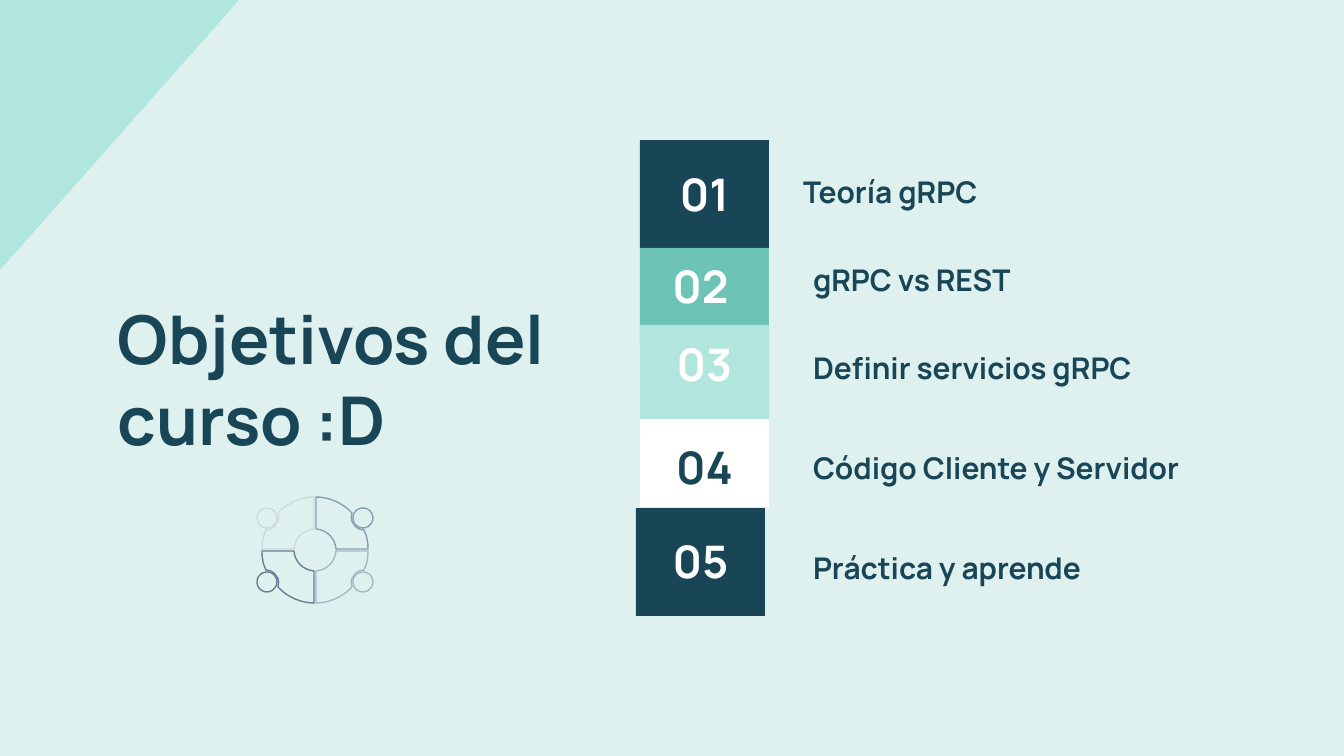
from lxml import etree
from pptx import Presentation
from pptx.dml.color import RGBColor
from pptx.enum.shapes import MSO_SHAPE
from pptx.enum.text import MSO_ANCHOR, MSO_AUTO_SIZE, PP_ALIGN
from pptx.oxml.ns import qn
from pptx.util import Pt

SCALE = 914400 / 134.4
FONT = "Manrope"
LEFT, CENTER = PP_ALIGN.LEFT, PP_ALIGN.CENTER
TOP, MIDDLE = MSO_ANCHOR.TOP, MSO_ANCHOR.MIDDLE
RECTANGLE, OVAL = MSO_SHAPE.RECTANGLE, MSO_SHAPE.OVAL
TITLE_ONLY = 5

COLORS = {
    "background": "DFF1EF", "dark": "194656", "teal": "6CC3B6",
    "mint": "B1E6DE", "white": "FFFFFF",
}
TITLE = "Objetivos del curso :D"
TITLE_BOX = (105, 243, 462, 270)
CORNER = [(0, 0), (0, 270), (239, 0)]

# label, label position, bar box, bar colour, number box, number colour
GOALS = [
    ("Teoría gRPC", (790, 161), (640, 140, 129, 108), "dark", (640, 147, 129, 94), "white"),
    ("gRPC vs REST", (800, 249), (640, 248, 129, 93), "teal", (640, 259, 121, 54), "white"),
    ("Definir servicios gRPC", (800, 337), (640, 325, 129, 94), "mint", (648, 325, 113, 78), "white"),
    ("Código Cliente y Servidor", (800, 437), (640, 419, 129, 88), "white", (640, 420, 129, 94), "dark"),
    ("Práctica y aprende", (800, 537), (636, 508, 129, 108), "dark", (636, 514, 129, 94), "white"),
]
LABEL_SIZE = (410, 54)

WHEEL_CENTER = (315, 550)
KNOB_OFFSET, KNOB_RADIUS = (48, 32), 10
# lower right quadrant: start, then one tuple per line (1 point) or curve (3 points)
QUADRANT_START = (21, 1)
QUADRANT_SEGMENTS = [
    ((20, 12), (12, 20), (1, 21)),
    ((1, 53),),
    ((14, 53), (28, 47), (37, 37)),
    ((36, 33), (36, 29), (38, 27)),
    ((40, 23), (44, 20), (49, 20)),
    ((52, 14), (53, 8), (53, 1)),
]
# horizontal direction, vertical direction, line colour
QUADRANTS = [(-1, 1, "667E92"), (1, 1, "A5B7C5"), (1, -1, "869FB1"), (-1, -1, "CFD9E0")]


def px(value):
    return round(value * SCALE)


def rgb(name):
    return RGBColor.from_string(COLORS.get(name, name))


def paint(shape, fill=None, line=None):
    shape.shadow.inherit = False
    if fill:
        shape.fill.solid()
        shape.fill.fore_color.rgb = rgb(fill)
    else:
        shape.fill.background()
    if line:
        shape.line.color.rgb = rgb(line)
        shape.line.width = Pt(0.75)
    else:
        shape.line.fill.background()


def add_preset(slide, kind, box, **style):
    paint(slide.shapes.add_shape(kind, *map(px, box)), **style)


def add_outline(slide, points, **style):
    points = [(px(x), px(y)) for x, y in points]
    builder = slide.shapes.build_freeform(*points[0], scale=1.0)
    builder.add_line_segments(points[1:], close=True)
    shape = builder.convert_to_shape()
    paint(shape, **style)
    return shape


def bend(shape, segments):
    """Turn each run of three line points into one cubic curve."""
    lines = iter(list(shape.element.iter(qn("a:lnTo"))))
    for segment in segments:
        group = [next(lines) for _ in segment]
        if len(group) == 3:
            curve = etree.Element(qn("a:cubicBezTo"))
            group[0].addprevious(curve)
            for line in group:
                curve.append(line[0])
                line.getparent().remove(line)


def write(shape, text, size, color, align=LEFT, anchor=TOP, side_inset=13):
    frame = shape.text_frame
    frame.text = text
    frame.word_wrap = True
    frame.auto_size = MSO_AUTO_SIZE.NONE
    frame.vertical_anchor = anchor
    frame.margin_left = frame.margin_right = px(side_inset)
    frame.margin_top = frame.margin_bottom = px(13)
    paragraph = frame.paragraphs[0]
    paragraph.alignment = align
    font = paragraph.runs[0].font
    font.name, font.size, font.bold = FONT, Pt(size), True
    font.color.rgb = rgb(color)


def add_wheel(slide):
    quadrant = [QUADRANT_START] + [point for segment in QUADRANT_SEGMENTS for point in segment]
    center_x, center_y = WHEEL_CENTER
    for across, down, color in QUADRANTS:
        points = [(center_x + across * x, center_y + down * y) for x, y in quadrant]
        bend(add_outline(slide, points, line=color), QUADRANT_SEGMENTS)
        knob_x = center_x + across * KNOB_OFFSET[0] - KNOB_RADIUS
        knob_y = center_y + down * KNOB_OFFSET[1] - KNOB_RADIUS
        add_preset(slide, OVAL, (knob_x, knob_y, 2 * KNOB_RADIUS, 2 * KNOB_RADIUS), line=color)


def main():
    presentation = Presentation()
    presentation.slide_width, presentation.slide_height = px(1344), px(756)
    slide = presentation.slides.add_slide(presentation.slide_layouts[TITLE_ONLY])
    slide.background.fill.solid()
    slide.background.fill.fore_color.rgb = rgb("background")

    add_outline(slide, CORNER, fill="mint")
    title = slide.shapes.title
    title.left, title.top, title.width, title.height = map(px, TITLE_BOX)
    write(title, TITLE, 36, "dark", anchor=MIDDLE)

    for number, goal in enumerate(GOALS, start=1):
        label, position, bar_box, bar_color, number_box, number_color = goal
        add_preset(slide, RECTANGLE, bar_box, fill=bar_color)
        number_text = slide.shapes.add_textbox(*map(px, number_box))
        write(number_text, f"{number:02d}", 24, number_color, CENTER, MIDDLE, 0)
        label_text = slide.shapes.add_textbox(*map(px, position + LABEL_SIZE))
        write(label_text, label, 16, "dark")

    add_wheel(slide)
    presentation.save("out.pptx")


if __name__ == "__main__":
    main()
